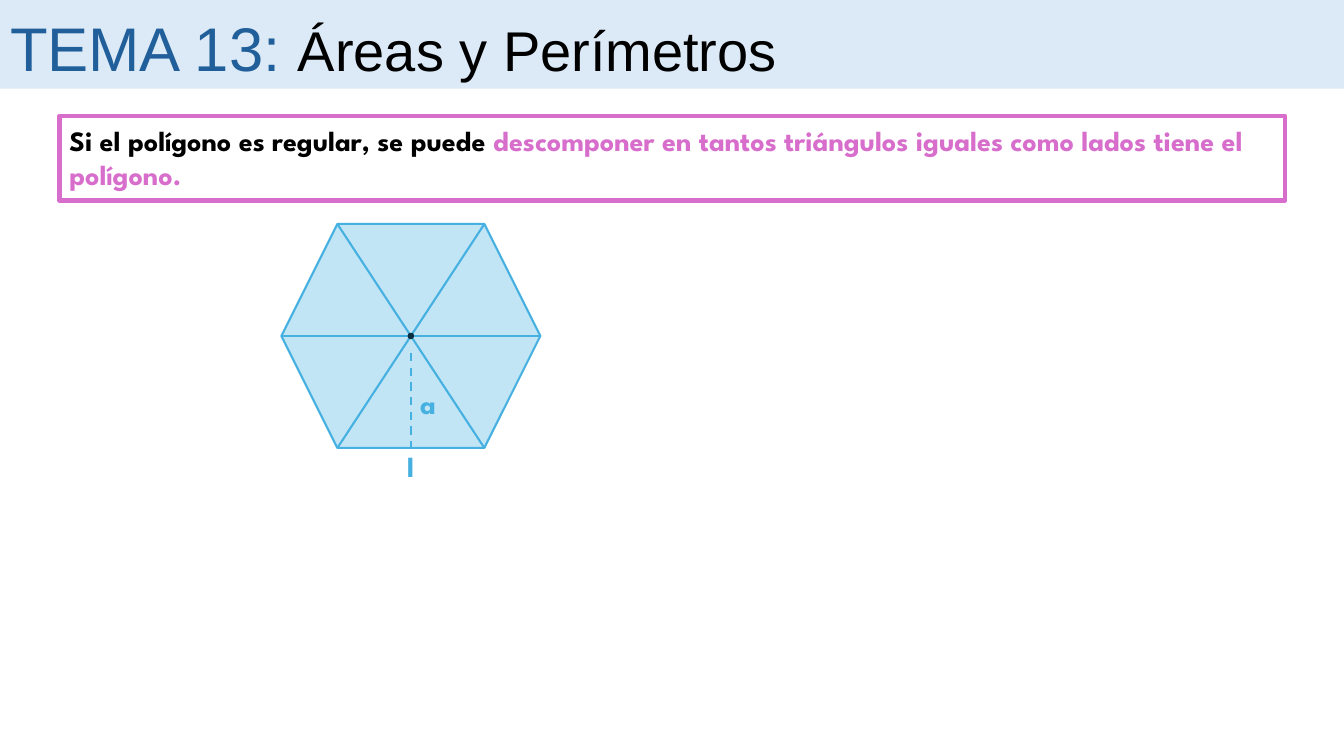
import pptx
import pptx.util
import pptx.dml.color
import pptx.enum.dml
import pptx.enum.shapes
import pptx.enum.text
import pptx.oxml

Pt = pptx.util.Pt
SHAPES = pptx.enum.shapes.MSO_SHAPE
ANCHORS = pptx.enum.text.MSO_ANCHOR

COLORS = {
    "banner": "DCEAF7",
    "topic": "215F9A",
    "text": "000000",
    "accent": "D86ECC",
    "face": "C1E5F5",
    "edge": "46B1E1",
    "center": "0B3041",
}
TITLE = [
    ("TEMA 13: ", {"name": "Arial", "size": Pt(44)}, "topic"),
    ("Áreas y Perímetros", {"name": "Arial", "size": Pt(40)}, "text"),
]
BOLD = {"name": "League Spartan", "size": Pt(20), "bold": True}
RULE = [
    ("Si el polígono es regular, se puede ", BOLD, "text"),
    ("descomponer en tantos triángulos iguales como lados tiene el polígono.", BOLD, "accent"),
]
TITLE_BOX = (0, 3, 853, 60.5)
BANNER_BOX = (0, 0, 960, 63.4)
FRAME_BOX = (42.5, 82.8, 875.5, 60.5)
RULE_BOX = (42.5, 85, 875.5, 55.4)
HEXAGON_BOX = (201, 160, 185, 160)
LABELS = [("l", (283.7, 317.5, 29.5, 31.7)), ("a", (293, 272.9, 29.5, 31.7))]
DOT_SIZE = 4.6
APOTHEM_GAP = 12


def color(name):
    return pptx.dml.color.RGBColor.from_string(COLORS[name])


def points(values):
    return [Pt(value) for value in values]


def add_shape(slide, kind, box, fill=None, line=None, width=1.5):
    shape = slide.shapes.add_shape(kind, *points(box))
    shape.shadow.inherit = False
    if fill:
        shape.fill.solid()
        shape.fill.fore_color.rgb = color(fill)
    else:
        shape.fill.background()
    if line:
        shape.line.color.rgb = color(line)
        shape.line.width = Pt(width)
    else:
        shape.line.fill.background()
    return shape


def write(frame, runs, anchor=ANCHORS.TOP):
    settings = {
        "word_wrap": True,
        "auto_size": pptx.enum.text.MSO_AUTO_SIZE.NONE,
        "vertical_anchor": anchor,
    }
    for key, value in settings.items():
        setattr(frame, key, value)
    paragraph = frame.paragraphs[0]
    paragraph.alignment = pptx.enum.text.PP_ALIGN.LEFT
    for text, values, color_name in runs:
        run = paragraph.add_run()
        run.text = text
        for key, value in values.items():
            setattr(run.font, key, value)
        run.font.color.rgb = color(color_name)


def add_text(slide, box, runs):
    write(slide.shapes.add_textbox(*points(box)).text_frame, runs)


def add_line(slide, start, end, dash=None):
    line = slide.shapes.add_connector(
        pptx.enum.shapes.MSO_CONNECTOR.STRAIGHT, *points(start + end))
    line.line.color.rgb = color("edge")
    line.line.width = Pt(1.5)
    if dash:
        line.line.dash_style = dash
    line.element.spPr.append(pptx.oxml.parse_xml(
        '<a:effectLst xmlns:a="http://schemas.openxmlformats.org/drawingml/2006/main"/>'))


def add_hexagon(slide):
    left, top, width, height = HEXAGON_BOX
    right, bottom = left + width, top + height
    middle_x, middle_y = left + width / 2, top + height / 2
    inset = height / 4
    add_shape(slide, SHAPES.HEXAGON, HEXAGON_BOX, "face", "edge")
    add_line(slide, (middle_x, middle_y + APOTHEM_GAP), (middle_x, bottom),
             pptx.enum.dml.MSO_LINE.DASH)
    add_line(slide, (left + inset, top), (right - inset, bottom))
    add_line(slide, (right - inset, top), (left + inset, bottom))
    add_line(slide, (left, middle_y), (right, middle_y))
    dot_box = (middle_x - DOT_SIZE / 2, middle_y - DOT_SIZE / 2, DOT_SIZE, DOT_SIZE)
    add_shape(slide, SHAPES.OVAL, dot_box, "center")
    for text, box in LABELS:
        add_text(slide, box, [(text, BOLD, "edge")])


def main():
    presentation = pptx.Presentation()
    presentation.slide_width, presentation.slide_height = Pt(960), Pt(540)
    slide = presentation.slides.add_slide(presentation.slide_layouts[5])
    title = slide.shapes.title
    title.left, title.top, title.width, title.height = points(TITLE_BOX)
    write(title.text_frame, TITLE, ANCHORS.BOTTOM)
    banner = add_shape(slide, SHAPES.RECTANGLE, BANNER_BOX, "banner")
    banner.element.addnext(title.element)
    add_shape(slide, SHAPES.RECTANGLE, FRAME_BOX, line="accent", width=3)
    add_text(slide, RULE_BOX, RULE)
    add_hexagon(slide)
    presentation.save("out.pptx")


if __name__ == "__main__":
    main()
